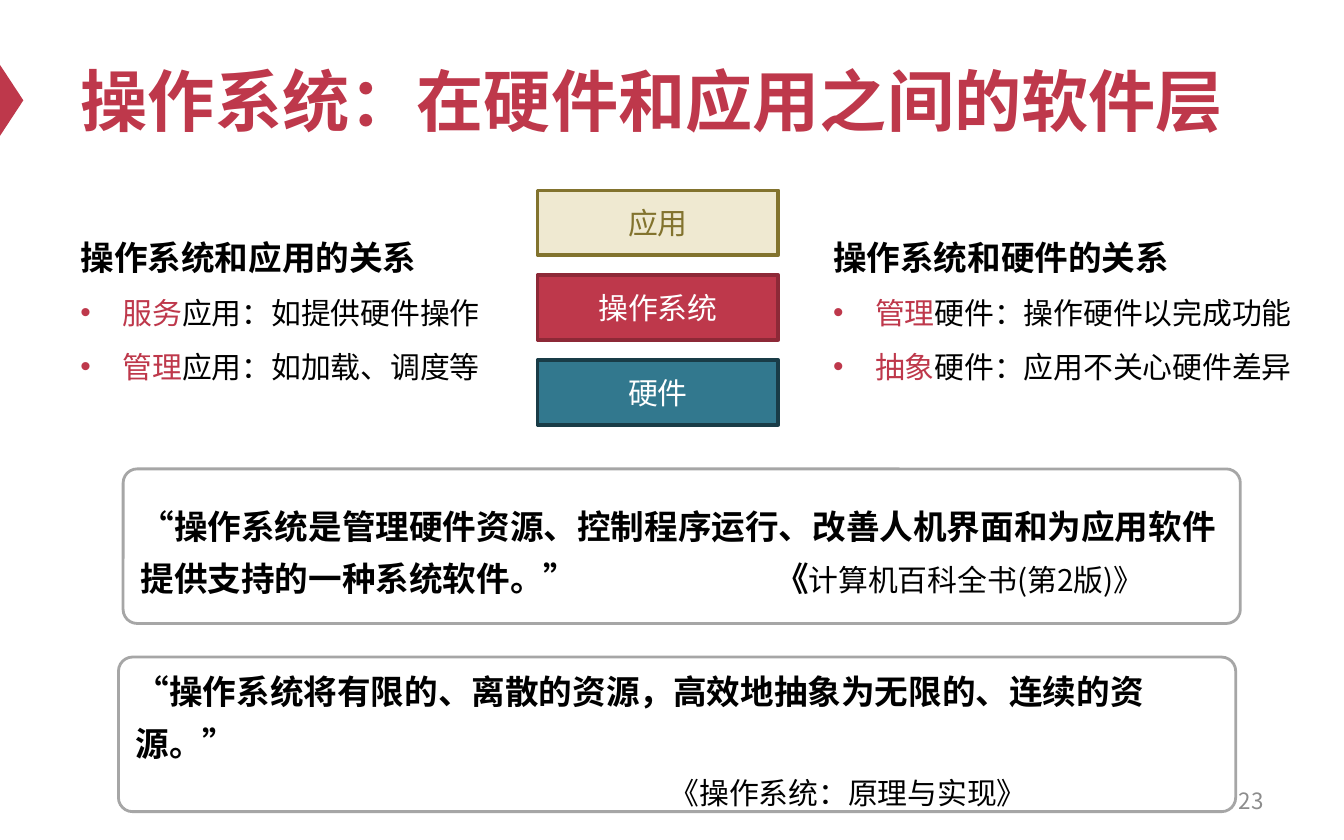
from lxml.etree import SubElement
from pptx import Presentation
from pptx.dml.color import RGBColor
from pptx.enum.shapes import MSO_SHAPE as Shape
from pptx.enum.text import MSO_ANCHOR as Anchor, MSO_AUTO_SIZE as AutoSize, PP_ALIGN as Align
from pptx.oxml.ns import qn
from pptx.util import Pt

RED = RGBColor(0xBE, 0x38, 0x4B)
DARK_RED = RGBColor(0x8D, 0x29, 0x37)
CREAM = RGBColor(0xEF, 0xE9, 0xD1)
OLIVE = RGBColor(0x82, 0x73, 0x2E)
TEAL = RGBColor(0x32, 0x78, 0x8E)
DARK_TEAL = RGBColor(0x19, 0x3C, 0x47)
BLACK = RGBColor(0, 0, 0)
WHITE = RGBColor(0xFF, 0xFF, 0xFF)
GREY = RGBColor(0xA6, 0xA6, 0xA6)
NUMBER_GREY = RGBColor(0x8C, 0x8C, 0x8C)
LATIN, CJK = "Arial", "Noto Sans CJK SC"


def set_font(font, size, color, bold=False, name=LATIN):
    font.name, font.size, font.bold = name, Pt(size), bold
    font.color.rgb = color


def add_block(slide, kind, box, fill, line=None, line_width=0):
    block = slide.shapes.add_shape(kind, *map(Pt, box))
    block.shadow.inherit = False
    block.fill.solid()
    block.fill.fore_color.rgb = fill
    if line is None:
        block.line.fill.background()
    else:
        block.line.color.rgb = line
        block.line.width = Pt(line_width)
    return block


def add_heading(slide, box, text):
    left, top, width, height = box
    # Arrow at the slide edge, level with the title
    length, depth = 38, 12.5
    arrow = add_block(slide, Shape.ISOSCELES_TRIANGLE,
                      (depth / 2 - length / 2, 47.5, length, depth), RED)
    arrow.rotation = 90

    title = slide.shapes.title
    title.left, title.top, title.width, title.height = map(Pt, box)
    frame = title.text_frame
    frame.text = text
    frame.auto_size = AutoSize.NONE
    frame.vertical_anchor = Anchor.MIDDLE
    frame.paragraphs[0].alignment = Align.LEFT
    set_font(frame.paragraphs[0].font, 36, RED, True)


def add_page_number(slide, box, number):
    frame = slide.shapes.add_textbox(*map(Pt, box)).text_frame
    frame.word_wrap = True
    frame.vertical_anchor = Anchor.MIDDLE
    frame.text = number
    frame.paragraphs[0].alignment = Align.RIGHT
    set_font(frame.paragraphs[0].font, 12, NUMBER_GREY, name=CJK)


def add_layers(slide, box, layers, gap):
    left, top, width, height = box
    layer_height = (height - gap * (len(layers) - 1)) / len(layers)
    for i, (name, fill, line, color) in enumerate(layers):
        y = top + i * (layer_height + gap)
        layer = add_block(slide, Shape.RECTANGLE, (left, y, width, layer_height), fill, line, 2)
        frame = layer.text_frame
        frame.vertical_anchor = Anchor.MIDDLE
        frame.text = name
        frame.paragraphs[0].alignment = Align.CENTER
        set_font(frame.paragraphs[0].font, 16, color)


def add_relation(slide, box, heading, points):
    frame = slide.shapes.add_textbox(*map(Pt, box)).text_frame
    frame.word_wrap = True
    frame.auto_size = AutoSize.SHAPE_TO_FIT_TEXT
    frame.text = heading
    frame.paragraphs[0].line_spacing = 1.5
    set_font(frame.paragraphs[0].font, 18, BLACK, True)
    for keyword, rest in points:
        point = frame.add_paragraph()
        point.line_spacing = 1.5
        # Hanging red bullet
        props = point._p.get_or_add_pPr()
        props.set("marL", str(Pt(22.5)))
        props.set("indent", str(-Pt(22.5)))
        color = SubElement(props, qn("a:buClr"))
        SubElement(color, qn("a:srgbClr"), val=str(RED))
        SubElement(props, qn("a:buFont"), typeface=LATIN)
        SubElement(props, qn("a:buChar"), char="•")
        for text, run_color in ((keyword, RED), (rest, BLACK)):
            run = point.add_run()
            run.text = text
            set_font(run.font, 16, run_color)


def add_quote_box(slide, box):
    card = add_block(slide, Shape.ROUNDED_RECTANGLE, box, WHITE, GREY, 1.5)
    card.adjustments[0] = 0.091
    frame = card.text_frame
    frame.vertical_anchor = Anchor.MIDDLE
    paragraph = frame.paragraphs[0]
    paragraph.alignment = Align.LEFT
    paragraph.line_spacing = 1.3
    return frame


def add_inline_quote(slide, box, quote, source, source_at):
    """Quote whose source follows on its last line, at a tab stop."""
    paragraph = add_quote_box(slide, box).paragraphs[0]
    tabs = SubElement(paragraph._p.get_or_add_pPr(), qn("a:tabLst"))
    SubElement(tabs, qn("a:tab"), pos=str(Pt(source_at)), algn="l")
    for text, size, bold in ((quote + "\t" + source[0], 18, True), (source[1:], 16, False)):
        run = paragraph.add_run()
        run.text = text
        set_font(run.font, size, BLACK, bold, CJK)


def add_stacked_quote(slide, box, quote, source, source_at):
    """Quote whose source stands indented on a line of its own."""
    frame = add_quote_box(slide, box)
    frame.paragraphs[0].text = quote
    set_font(frame.paragraphs[0].font, 18, BLACK, True, CJK)
    credit = frame.add_paragraph()
    credit.text = source
    credit.alignment = Align.LEFT
    credit.line_spacing = 1.3
    credit._p.get_or_add_pPr().set("marL", str(Pt(source_at)))
    set_font(credit.font, 16, BLACK, name=CJK)


def main():
    deck = Presentation()
    deck.slide_width, deck.slide_height = Pt(720), Pt(450)
    slide = deck.slides.add_slide(deck.slide_layouts[5])

    add_heading(slide, (36, 18, 648, 70.5), "操作系统：在硬件和应用之间的软件层")
    add_page_number(slide, (516, 417, 168, 24), "23")

    # Software stack between the two relations
    add_layers(slide, (288, 102, 129, 125.5), [
        ("应用", CREAM, OLIVE, OLIVE),
        ("操作系统", RED, DARK_RED, WHITE),
        ("硬件", TEAL, DARK_TEAL, WHITE),
    ], gap=11)
    add_relation(slide, (439.2, 112.3, 289.5, 98), "操作系统和硬件的关系", [
        ("管理", "硬件：操作硬件以完成功能"),
        ("抽象", "硬件：应用不关心硬件差异"),
    ])
    add_relation(slide, (36, 112.3, 278.5, 98), "操作系统和应用的关系", [
        ("服务", "应用：如提供硬件操作"),
        ("管理", "应用：如加载、调度等"),
    ])

    # Definitions
    add_inline_quote(
        slide, (66, 251.2, 598.5, 82.8),
        "“操作系统是管理硬件资源、控制程序运行、改善人机界面和为应用软件提供支持的一种系统软件。”",
        "《计算机百科全书(第2版)》", source_at=340)
    add_stacked_quote(
        slide, (63.5, 352, 598.5, 82.8),
        "“操作系统将有限的、离散的资源，高效地抽象为无限的、连续的资源。”",
        "《操作系统：原理与实现》", source_at=286)

    deck.save("out.pptx")


if __name__ == "__main__":
    main()
